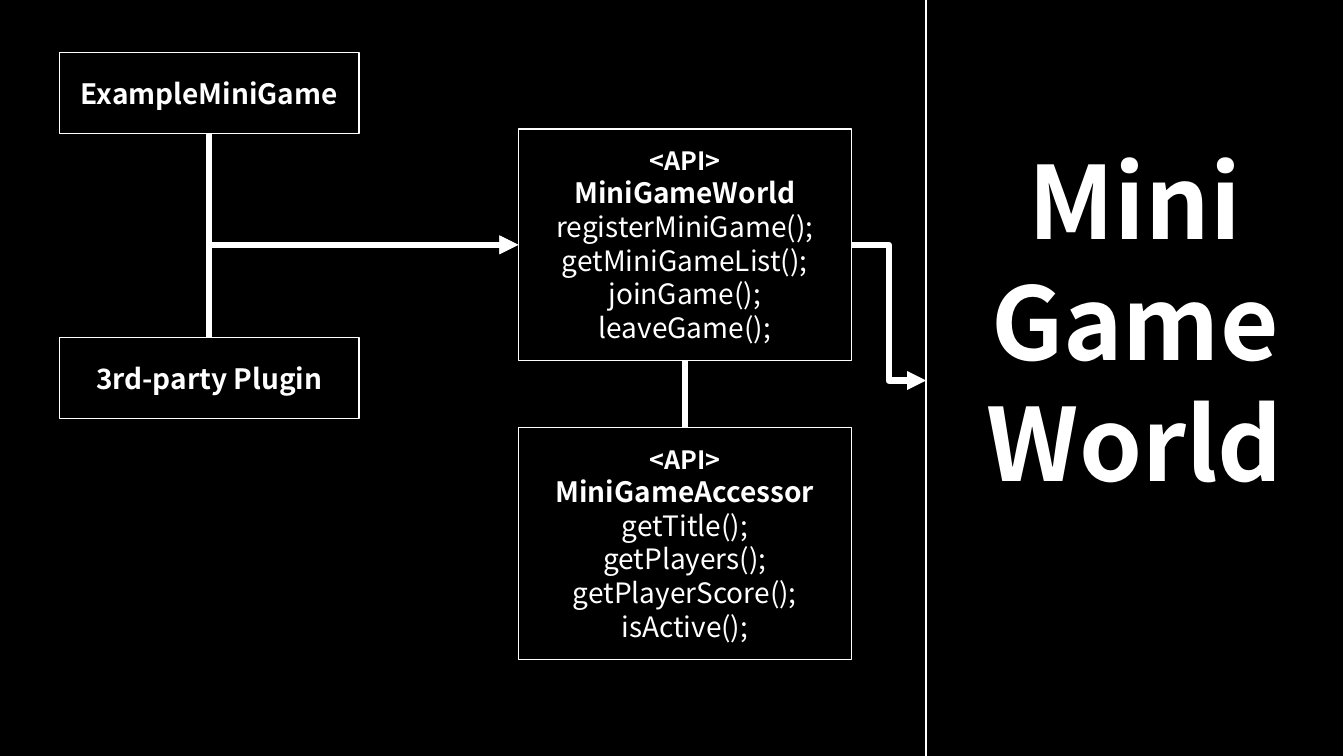
from lxml.etree import SubElement as Sub
from pptx import Presentation
from pptx.dml.color import RGBColor as RGB
from pptx.enum.shapes import MSO_CONNECTOR as Link, MSO_SHAPE as Shape
from pptx.enum.text import MSO_ANCHOR as Anchor, MSO_AUTO_SIZE as Fit, PP_ALIGN as Align
from pptx.oxml.ns import qn
from pptx.util import Cm, Pt

COLORS = {"back": "000000", "ink": "FFFFFF"}
FONT = "Noto Sans CJK KR"
TOP, LEFT, BOTTOM, RIGHT = range(4)


def tint(name):
    return RGB.from_string(COLORS[name])


def place(shape, box):
    shape.left, shape.top, shape.width, shape.height = map(Cm, box)
    shape.fill.solid()
    shape.fill.fore_color.rgb = tint("back")
    shape.line.color.rgb = tint("ink")
    shape.line.width = Pt(1)


def write(shape, lines):
    frame = shape.text_frame
    frame.word_wrap = True
    frame.auto_size = Fit.NONE
    frame.vertical_anchor = Anchor.MIDDLE
    for i, (text, size, bold) in enumerate(lines):
        para = frame.add_paragraph() if i else frame.paragraphs[0]
        para.text = text
        para.alignment = Align.CENTER
        para.line_spacing = 1.0
        para.space_before = Pt(0)
        font = para.font
        font.name, font.size, font.bold = FONT, Pt(size), bold
        font.color.rgb = tint("ink")


def add_box(slide, box, lines):
    shape = slide.shapes.add_shape(Shape.FLOWCHART_PROCESS, *map(Cm, box))
    shape.shadow.inherit = False
    place(shape, box)
    write(shape, lines)
    return shape


def add_plugins(slide, box):
    left, top, width, height = box
    tall = 2.04
    names = ["ExampleMiniGame", "3rd-party Plugin"]
    step = (height - tall) / (len(names) - 1)
    return [add_box(slide, (left, top + i * step, width, tall), [(name, 20, True)])
            for i, name in enumerate(names)]


def add_apis(slide, box):
    left, top, width, height = box
    tall = 5.84
    apis = {
        "MiniGameWorld": ["registerMiniGame", "getMiniGameList", "joinGame", "leaveGame"],
        "MiniGameAccessor": ["getTitle", "getPlayers", "getPlayerScore", "isActive"],
    }
    step = (height - tall) / (len(apis) - 1)
    cards = []
    for i, (name, calls) in enumerate(apis.items()):
        lines = [("<API>", 18, True), (name, 20, True)]
        lines += [(call + "();", 20, False) for call in calls]
        cards.append(add_box(slide, (left, top + i * step, width, tall), lines))
    return cards


def add_title(slide, box):
    title = slide.shapes.title
    place(title, box)
    write(title, [(word, 72, True) for word in ("Mini", "Game", "World")])
    title.text_frame.margin_bottom = Cm(3.18)
    return title


def join(slide, start, end, kind=Link.STRAIGHT, preset=None, arrow=None):
    link = slide.shapes.add_connector(kind, 0, 0, 0, 0)
    link.begin_connect(*start)
    link.end_connect(*end)
    link.line.color.rgb = tint("ink")
    link.line.width = Pt(4.5)
    props = link._element.spPr
    if preset:
        props.find(qn("a:prstGeom")).set("prst", preset)
    if arrow:
        Sub(props.find(qn("a:ln")), qn(arrow)).set("type", "triangle")
    Sub(props, qn("a:effectLst"))


def build():
    deck = Presentation()
    deck.slide_width, deck.slide_height = Cm(33.87), Cm(19.05)
    slide = deck.slides.add_slide(deck.slide_layouts[5])
    slide.background.fill.solid()
    slide.background.fill.fore_color.rgb = tint("back")

    title = add_title(slide, (23.34, -0.48, 10.52, 20.14))
    plugins = add_plugins(slide, (1.5, 1.32, 7.55, 9.23))
    world, access = add_apis(slide, (13.06, 3.25, 8.4, 13.37))

    for plugin, side in zip(plugins, (BOTTOM, TOP)):
        join(slide, (world, LEFT), (plugin, side), Link.ELBOW, "bentConnector2", "a:headEnd")
    join(slide, (access, TOP), (world, BOTTOM))
    join(slide, (world, RIGHT), (title, LEFT), Link.ELBOW, arrow="a:tailEnd")
    deck.save("out.pptx")


build()
